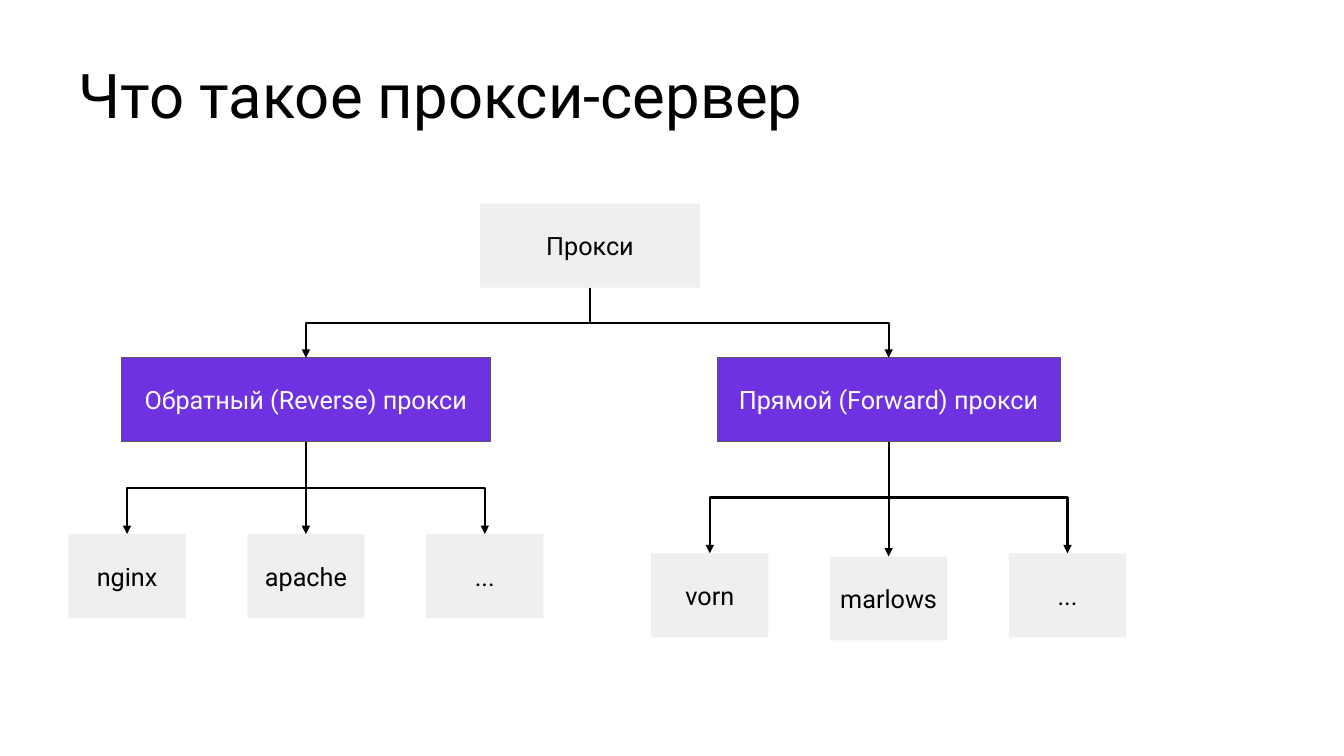
import pptx
import pptx.dml.color
import pptx.enum.shapes
import pptx.enum.text
import pptx.oxml
import pptx.oxml.ns
import pptx.util

Pt = pptx.util.Pt
RGBColor = pptx.dml.color.RGBColor
MSO_SHAPE = pptx.enum.shapes.MSO_SHAPE
MSO_CONNECTOR = pptx.enum.shapes.MSO_CONNECTOR
MSO_ANCHOR = pptx.enum.text.MSO_ANCHOR
MSO_AUTO_SIZE = pptx.enum.text.MSO_AUTO_SIZE
PP_ALIGN = pptx.enum.text.PP_ALIGN
qn = pptx.oxml.ns.qn

BLACK = RGBColor(0x00, 0x00, 0x00)
WHITE = RGBColor(0xFF, 0xFF, 0xFF)
GREY = RGBColor(0xEF, 0xEF, 0xEF)
PURPLE = RGBColor(0x6E, 0x32, 0xE0)
OUTLINE = RGBColor(0x59, 0x59, 0x59)

BOX_H = 60
LEAF_W = 83.75
LEAF_STEP = 127.75
BRANCH_TOP = 255.5


def apply(target, values):
    for name, value in values.items():
        setattr(target, name, value)


class Deck:
    font = "Roboto"

    def __init__(self, prs):
        self.s = prs.slides.add_slide(prs.slide_layouts[5])

    def set_text(self, tf, text, size, color, frame, para):
        apply(tf, frame)
        p = tf.paragraphs[0]
        apply(p, para)
        r = p.add_run()
        r.text = text
        apply(r.font, {"name": self.font, "size": Pt(size)})
        r.font.color.rgb = color

    def title(self, text, left, top, width, height):
        sp = self.s.shapes.title
        apply(sp, {"left": Pt(left), "top": Pt(top),
                   "width": Pt(width), "height": Pt(height)})
        self.set_text(sp.text_frame, text, 44, BLACK,
                      {"vertical_anchor": MSO_ANCHOR.BOTTOM, "word_wrap": True,
                       "auto_size": MSO_AUTO_SIZE.NONE,
                       "margin_left": Pt(7.2), "margin_right": Pt(7.2),
                       "margin_top": Pt(3.6), "margin_bottom": Pt(3.6)},
                      {"alignment": PP_ALIGN.LEFT, "line_spacing": 0.9})

    def box(self, text, center, top, width, fill=GREY, color=BLACK, outline=None):
        sp = self.s.shapes.add_shape(MSO_SHAPE.RECTANGLE, Pt(center - width / 2),
                                     Pt(top), Pt(width), Pt(BOX_H))
        sp.shadow.inherit = False
        sp.fill.solid()
        sp.fill.fore_color.rgb = fill
        if outline is None:
            sp.line.fill.background()
        else:
            sp.line.color.rgb = outline
            sp.line.width = Pt(0.75)
        margins = {f"margin_{side}": Pt(7.2)
                   for side in ("left", "top", "right", "bottom")}
        self.set_text(sp.text_frame, text, 18, color,
                      {"vertical_anchor": MSO_ANCHOR.MIDDLE, "word_wrap": True, **margins},
                      {"alignment": PP_ALIGN.CENTER})
        return sp

    def arrow(self, parent, child):
        x1 = parent.left + parent.width // 2
        x2 = child.left + child.width // 2
        y1, y2 = parent.top + parent.height, child.top
        straight = abs(x2 - x1) < Pt(1)
        kind = MSO_CONNECTOR.STRAIGHT if straight else MSO_CONNECTOR.ELBOW
        c = self.s.shapes.add_connector(kind, x1, y1, x2, y2)
        c.begin_connect(parent, 2)
        c.end_connect(child, 0)
        if not straight:
            self.turn_down(c, x1, y1, x2, y2)
        c.line.color.rgb = BLACK
        c.line.width = Pt(1.5)
        props = c.element.spPr
        ns = pptx.oxml.ns.nsdecls("a")
        props.find(qn("a:ln")).append(
            pptx.oxml.parse_xml(f'<a:tailEnd {ns} type="triangle"/>'))
        props.append(pptx.oxml.parse_xml(f'<a:effectLst {ns}/>'))

    def turn_down(self, c, x1, y1, x2, y2):
        width, height = y2 - y1, abs(x2 - x1)
        apply(c, {"left": (x1 + x2 - width) // 2, "top": (y1 + y2 - height) // 2,
                  "width": width, "height": height})
        xfrm = c.element.spPr.find(qn("a:xfrm"))
        rightward = x2 > x1
        xfrm.set("rot", "16200000" if rightward else "5400000")
        xfrm.set("flipH", "1" if rightward else "0")


def main():
    prs = pptx.Presentation()
    prs.slide_width, prs.slide_height = Pt(960), Pt(540)
    deck = Deck(prs)
    deck.title("Что такое прокси-сервер", 49, 36, 851, 62)
    root = deck.box("Прокси", 421.5, 145.5, 157.5)

    branches = [
        ("Обратный (Reverse) прокси", 218.5, 263.5,
         [("nginx", 381.5), ("apache", 381.5), ("...", 381.5)]),
        ("Прямой (Forward) прокси", 634.75, 245,
         [("vorn", 395.25), ("marlows", 397.5), ("...", 395.25)]),
    ]
    for text, center, width, leaves in branches:
        branch = deck.box(text, center, BRANCH_TOP, width, PURPLE, WHITE, OUTLINE)
        deck.arrow(root, branch)
        for i, (name, top) in enumerate(leaves):
            leaf = deck.box(name, center + (i - 1) * LEAF_STEP, top, LEAF_W)
            deck.arrow(branch, leaf)
    prs.save("out.pptx")


if __name__ == "__main__":
    main()
